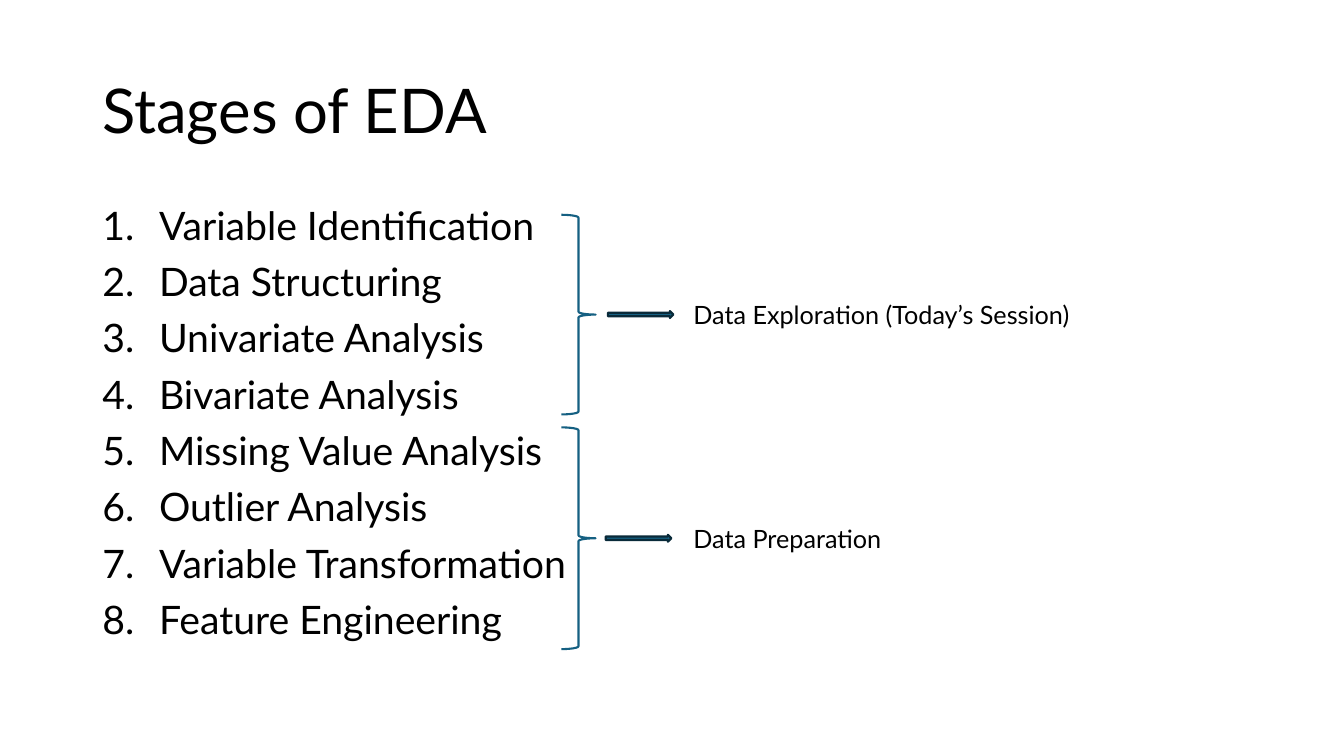
from lxml.etree import SubElement
from pptx import Presentation
from pptx.dml.color import RGBColor
from pptx.enum.shapes import MSO_SHAPE
from pptx.enum.text import MSO_ANCHOR
from pptx.oxml.ns import qn
from pptx.util import Pt

FONT = "Lato"
COLORS = {"text": "000000", "blue": "156082", "edge": "092A39"}
STAGES = [
    "Variable Identification",
    "Data Structuring",
    "Univariate Analysis",
    "Bivariate Analysis",
    "Missing Value Analysis",
    "Outlier Analysis",
    "Variable Transformation",
    "Feature Engineering",
]
GROUPS = [
    ("Data Exploration (Today’s Session)", 153.4, 142.6, 434.2, 358),
    ("Data Preparation", 305.3, 158.4, 432.7, 150.5),
]


def color(name):
    return RGBColor.from_string(COLORS[name])


def add_text(slide, box, lines, size, anchor=MSO_ANCHOR.TOP, leading=1.0):
    frame = slide.shapes.add_textbox(*map(Pt, box)).text_frame
    frame.word_wrap = True
    frame.vertical_anchor = anchor
    frame.text = "\n".join(lines)
    for para in frame.paragraphs:
        para.line_spacing = leading
        for run in para.runs:
            run.font.name = FONT
            run.font.size = Pt(size)
            run.font.color.rgb = color("text")
    return frame


def add_list(slide, box, lines):
    frame = add_text(slide, box, lines, 28, leading=0.9)
    for para in frame.paragraphs:
        para.space_before = Pt(10)
        props = para._p.get_or_add_pPr()
        props.set("marL", str(Pt(40.5)))
        props.set("indent", str(-Pt(40.5)))
        SubElement(props, qn("a:buFont"), typeface="+mj-lt")
        SubElement(props, qn("a:buAutoNum"), type="arabicPeriod")


def add_form(slide, kind, box, line, fill=None):
    shape = slide.shapes.add_shape(kind, *map(Pt, box))
    shape.shadow.inherit = False
    shape.line.color.rgb = color(line)
    shape.line.width = Pt(1.5)
    if fill:
        shape.fill.solid()
        shape.fill.fore_color.rgb = color(fill)
    else:
        shape.fill.background()


def add_group(slide, label, top, height, left, width):
    mid = top + height / 2
    add_form(slide, MSO_SHAPE.RIGHT_BRACE, (401, top, 24.5, height), "blue")
    add_form(slide, MSO_SHAPE.RIGHT_ARROW, (left, mid - 2.5, 46.8, 5), "edge", "blue")
    add_text(slide, (488.2, mid - 14.5, width, 29), [label], 18)


def main():
    deck = Presentation()
    deck.slide_width, deck.slide_height = Pt(960), Pt(540)
    slide = deck.slides.add_slide(deck.slide_layouts[6])
    add_text(slide, (66, 28.8, 828, 104.4), ["Stages of EDA"], 44, MSO_ANCHOR.MIDDLE, 0.9)
    add_list(slide, (66, 143.8, 368.6, 342.7), STAGES)
    for group in GROUPS:
        add_group(slide, *group)
    deck.save("out.pptx")


if __name__ == "__main__":
    main()
